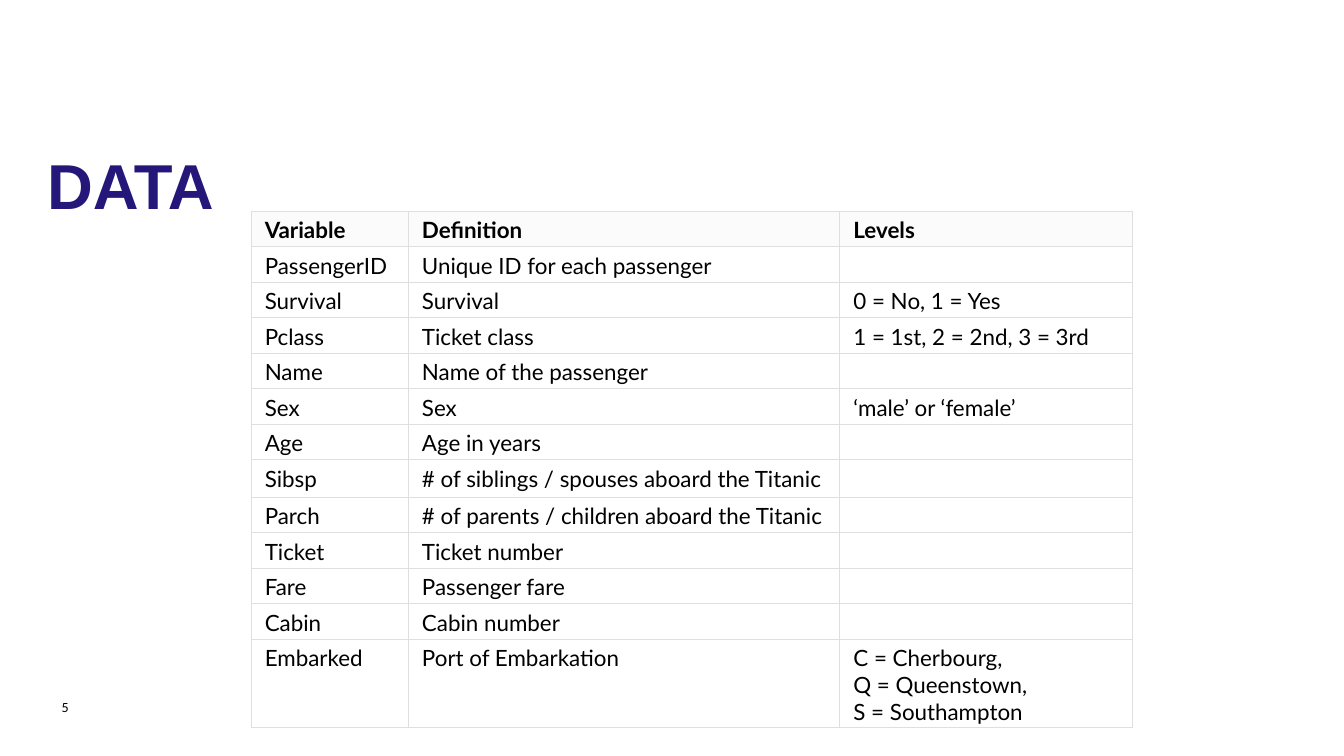
"""Build the data dictionary slide: a title, a table of variables and a page number."""
from dataclasses import dataclass

from lxml import etree
from pptx import Presentation
from pptx.dml.color import RGBColor
from pptx.enum import text
from pptx.oxml import ns
from pptx.util import Inches, Pt


@dataclass(frozen=True)
class Theme:
    title: RGBColor = RGBColor.from_string("25167A")
    ink: RGBColor = RGBColor.from_string("000000")
    header: RGBColor = RGBColor.from_string("FBFBFB")
    body: RGBColor = RGBColor.from_string("FFFFFF")
    border: str = "DEDFE0"
    border_width: Pt = Pt(0.6)
    title_size: Pt = Pt(34)
    table_size: Pt = Pt(12)
    page_size: Pt = Pt(7.5)


theme = Theme()


def add_run(paragraph, words, font, size, color, bold=False):
    run = paragraph.add_run()
    run.text = words
    run.font.name = font
    run.font.size = size
    run.font.color.rgb = color
    run.font.bold = bold


def add_borders(cell):
    properties = cell._tc.get_or_add_tcPr()
    for position, side in enumerate(("lnL", "lnR", "lnT", "lnB")):
        line = etree.Element(ns.qn(f"a:{side}"), w=str(theme.border_width))
        fill = etree.SubElement(line, ns.qn("a:solidFill"))
        etree.SubElement(fill, ns.qn("a:srgbClr"), val=theme.border)
        properties.insert(position, line)


variables = [
    ("Variable", "Definition", "Levels"),
    ("PassengerID", "Unique ID for each passenger", ""),
    ("Survival", "Survival", "0 = No, 1 = Yes"),
    ("Pclass", "Ticket class", "1 = 1st, 2 = 2nd, 3 = 3rd"),
    ("Name", "Name of the passenger", ""),
    ("Sex", "Sex", "‘male’ or ‘female’"),
    ("Age", "Age in years", ""),
    ("Sibsp", "# of siblings / spouses aboard the Titanic", ""),
    ("Parch", "# of parents / children aboard the Titanic", ""),
    ("Ticket", "Ticket number", ""),
    ("Fare", "Passenger fare", ""),
    ("Cabin", "Cabin number", ""),
    ("Embarked", "Port of Embarkation", "C = Cherbourg,\nQ = Queenstown,\nS = Southampton"),
]
column_widths = [1.17, 3.21, 2.18]
table_height = 3.85
special_heights = {"Sibsp": 0.28, "Embarked": 0.66}
row_height = (table_height - sum(special_heights.values())) / (len(variables) - len(special_heights))

deck = Presentation()
deck.slide_width, deck.slide_height = Inches(10), Inches(10 * 9 / 16)
slide = deck.slides.add_slide(deck.slide_layouts[5])

title = slide.shapes.title
title.left, title.top, title.width, title.height = map(Inches, (0.35, 1.09, 9.29, 1.21))
heading = title.text_frame
heading.margin_left = heading.margin_right = heading.margin_top = heading.margin_bottom = 0
heading.vertical_anchor = text.MSO_ANCHOR.TOP
heading.auto_size = text.MSO_AUTO_SIZE.NONE
heading.paragraphs[0].alignment = text.PP_ALIGN.LEFT
add_run(heading.paragraphs[0], "DATA", "Arial", theme.title_size, theme.title, bold=True)

dictionary = slide.shapes.add_table(
    len(variables), len(column_widths),
    Inches(1.87), Inches(1.57), Inches(sum(column_widths)), Inches(table_height),
).table
dictionary.horz_banding = False
for column, width in zip(dictionary.columns, column_widths):
    column.width = Inches(width)

for row_number, (row, entries) in enumerate(zip(dictionary.rows, variables)):
    is_header = row_number == 0
    row.height = Inches(special_heights.get(entries[0], row_height))
    for cell, entry in zip(row.cells, entries):
        cell.margin_left = cell.margin_right = Inches(0.1)
        cell.margin_top, cell.margin_bottom = Inches(0.04), Inches(0.02)
        cell.vertical_anchor = text.MSO_ANCHOR.MIDDLE if is_header else text.MSO_ANCHOR.TOP
        cell.fill.solid()
        cell.fill.fore_color.rgb = theme.header if is_header else theme.body
        add_borders(cell)
        for line_number, words in enumerate(entry.split("\n")):
            frame = cell.text_frame
            paragraph = frame.add_paragraph() if line_number else frame.paragraphs[0]
            if words:
                add_run(paragraph, words, "Lato", theme.table_size, theme.ink, bold=is_header)
            else:
                etree.SubElement(paragraph._p, ns.qn("a:endParaRPr"), sz=str(int(theme.table_size.pt * 100)))

page_number = slide.shapes.add_textbox(Inches(0.36), Inches(5.11), Inches(0.39), Inches(0.3)).text_frame
page_number.word_wrap = True
page_number.vertical_anchor = text.MSO_ANCHOR.MIDDLE
add_run(page_number.paragraphs[0], "5", "Calibri", theme.page_size, theme.ink)

deck.save("out.pptx")
